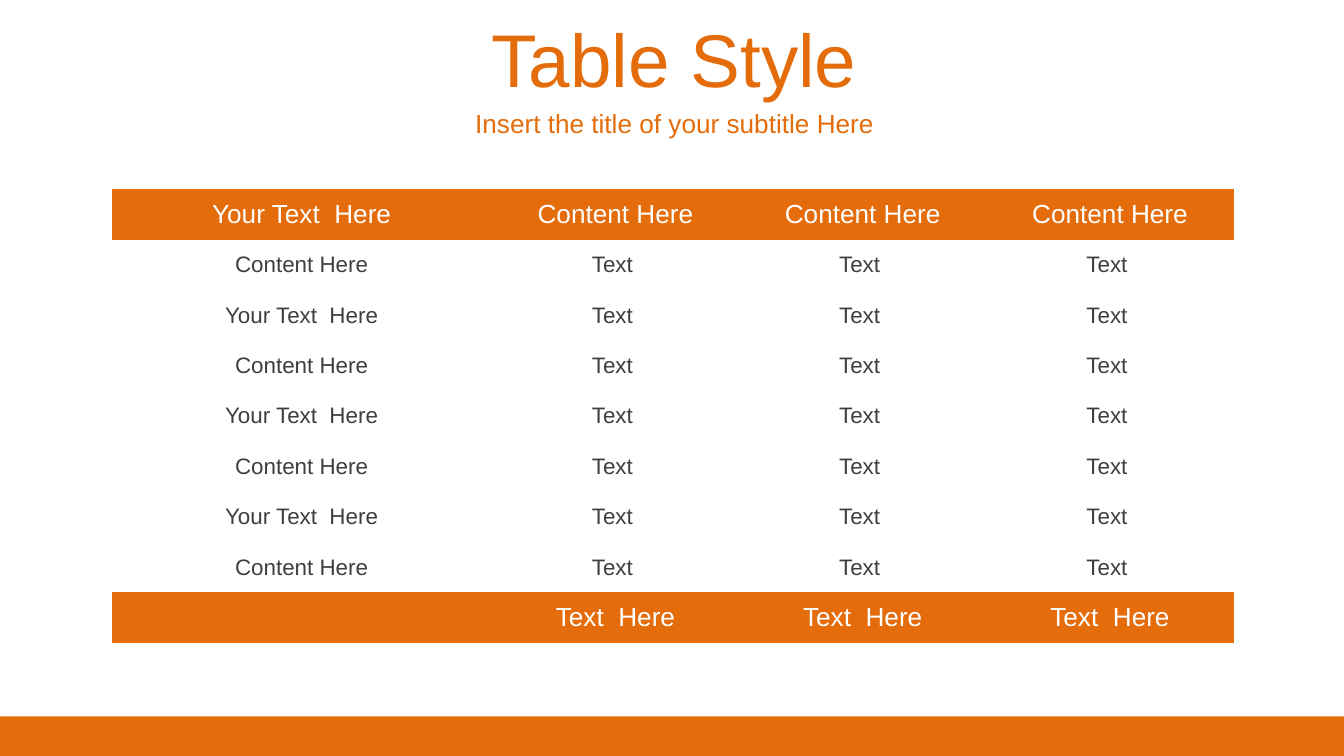
from pptx import Presentation
from pptx.dml.color import RGBColor
from pptx.enum.shapes import MSO_SHAPE
from pptx.enum.text import MSO_ANCHOR, PP_ALIGN
from pptx.oxml.ns import qn
from pptx.util import Inches, Pt

ORANGE = RGBColor(0xE4, 0x6C, 0x0A)
WHITE = RGBColor(0xFF, 0xFF, 0xFF)
DARK_GRAY = RGBColor(0x3F, 0x3F, 0x3F)
NO_STYLE_NO_GRID = "{2D5ABB26-0587-4C30-8999-92F81FD0307C}"


def write_text(text_frame, text, size=14, color=ORANGE):
    paragraph = text_frame.paragraphs[0]
    paragraph.alignment = PP_ALIGN.CENTER
    run = paragraph.add_run()
    run.text = text
    run.font.name = "Arial"
    run.font.size = Pt(size)
    run.font.color.rgb = color


# Widescreen slide, 16:9
presentation = Presentation()
presentation.slide_width = Inches(10)
presentation.slide_height = Inches(10) * 9 // 16
slide = presentation.slides.add_slide(presentation.slide_layouts[5])

# Bottom bar
bar = slide.shapes.add_shape(
    MSO_SHAPE.RECTANGLE, Inches(0), Inches(5.33), Inches(10), Inches(0.31))
bar.shadow.inherit = False
bar.fill.solid()
bar.fill.fore_color.rgb = ORANGE
bar.line.fill.background()

# Title and subtitle
title = slide.shapes.title
title.left, title.top = Inches(0.03), Inches(0.13)
title.width, title.height = Inches(9.97), Inches(0.6)
subtitle = slide.shapes.add_textbox(
    Inches(0.05), Inches(0.76), Inches(9.94), Inches(0.31))
for shape, text, size in [
    (title, "Table Style", 40),
    (subtitle, "Insert the title of your subtitle Here", 14),
]:
    text_frame = shape.text_frame
    text_frame.word_wrap = True
    text_frame.vertical_anchor = MSO_ANCHOR.MIDDLE
    text_frame.margin_left = text_frame.margin_right = Inches(0.1)
    text_frame.margin_top = text_frame.margin_bottom = Inches(0.1)
    write_text(text_frame, text, size=size)

# Table content: header, alternating body rows, footer
body_labels = ["Content Here", "Your Text  Here"]
rows = [["Your Text  Here"] + ["Content Here"] * 3]
rows += [[body_labels[index % 2]] + ["Text "] * 3 for index in range(7)]
rows += [[""] + ["Text  Here"] * 3]

# Table without style or grid lines
row_height = Inches(3) // 8
table_shape = slide.shapes.add_table(
    len(rows), 4, Inches(0.83), Inches(1.41), Inches(8.35),
    row_height * len(rows))
table = table_shape.table
table.first_row = table.horz_banding = False
style_id = next(table_shape._element.iter(qn("a:tableStyleId")))
style_id.text = NO_STYLE_NO_GRID
for column, width in zip(table.columns, [2.83, 1.84, 1.84, 1.84]):
    column.width = Inches(width)

for row_index, row in enumerate(rows):
    accent = row_index in (0, len(rows) - 1)
    for column_index, text in enumerate(row):
        cell = table.cell(row_index, column_index)
        cell.fill.solid()
        cell.fill.fore_color.rgb = ORANGE if accent else WHITE
        cell.vertical_anchor = MSO_ANCHOR.MIDDLE
        if text:
            write_text(cell.text_frame, text, size=14 if accent else 12,
                       color=WHITE if accent else DARK_GRAY)
        else:
            # Keep the empty cell from stretching its row
            cell.margin_top = cell.margin_bottom = 0

presentation.save("out.pptx")
